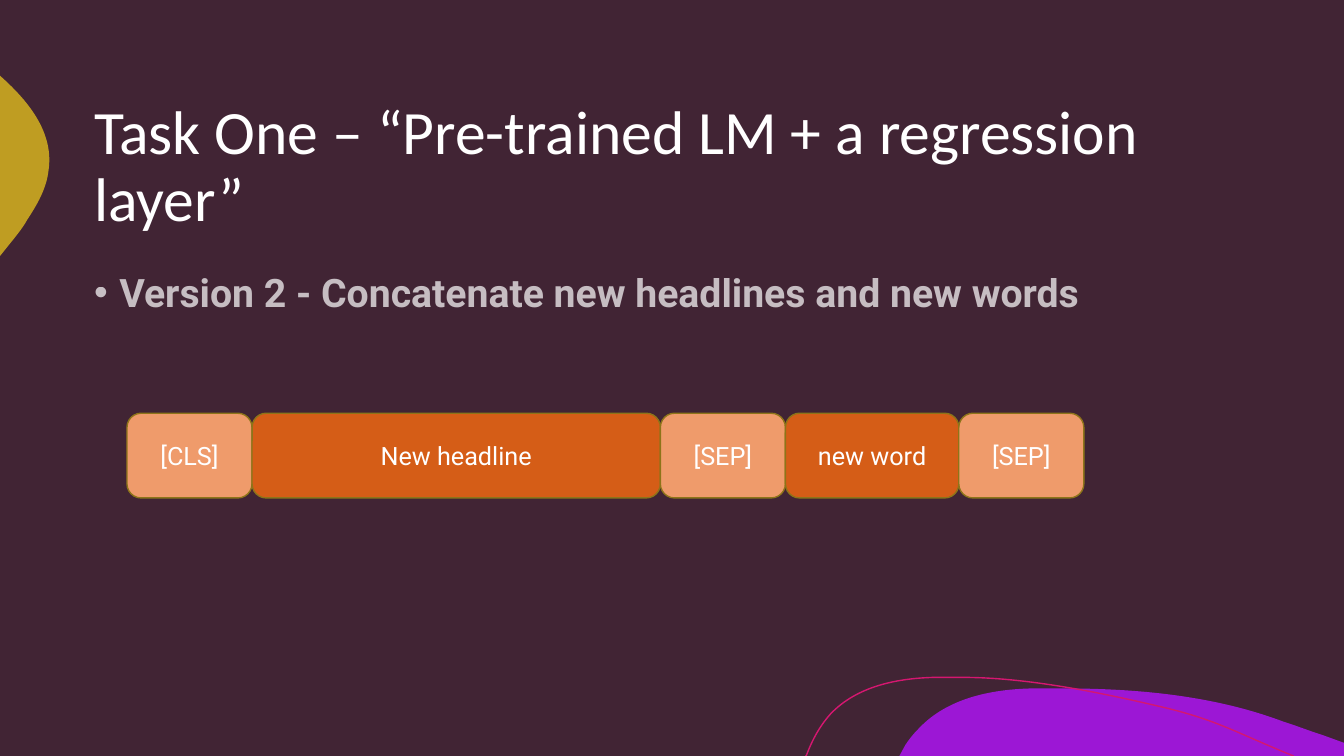
from lxml import etree
from pptx import Presentation
from pptx.dml.color import RGBColor
from pptx.enum.shapes import MSO_SHAPE
from pptx.enum.text import MSO_ANCHOR, PP_ALIGN
from pptx.oxml.ns import qn
from pptx.util import Inches, Pt

ROUND = MSO_SHAPE.ROUNDED_RECTANGLE
MIDDLE = MSO_ANCHOR.MIDDLE
CENTER = PP_ALIGN.CENTER


def rgb(value):
    return RGBColor.from_string(value)


def add_run(p, text, size, font, bold=False):
    r = p.add_run()
    r.text = text
    r.font.size = Pt(size)
    r.font.name = font
    r.font.bold = bold
    r.font.color.rgb = rgb("FFFFFF")
    return r


prs = Presentation()
prs.slide_width, prs.slide_height = Inches(13.33), Inches(7.5)
W, H = prs.slide_width, prs.slide_height
s = prs.slides.add_slide(prs.slide_layouts[6])
s.background.fill.solid()
s.background.fill.fore_color.rgb = rgb("412434")

# Decorative outlines: start, then lines (x, y) or cubic curves (6 numbers), in inches
purple_wave = [(10.54, 6.83), (11.28, 6.83, 12.04, 6.9, 12.73, 7.16),
               (12.86, 7.2, 12.98, 7.25, 13.11, 7.29), (13.33, 7.37),
               (13.33, 7.5), (8.92, 7.5), (8.98, 7.39),
               (9.02, 7.33, 9.06, 7.28, 9.11, 7.23),
               (9.39, 6.93, 9.82, 6.84, 10.23, 6.83),
               (10.33, 6.83, 10.43, 6.83, 10.54, 6.83)]
gold_blob = [(0, 0.75), (0.01, 0.76), (0.3, 1.02, 0.54, 1.33, 0.48, 1.7),
             (0.46, 1.87, 0.37, 2.03, 0.27, 2.18),
             (0.24, 2.24, 0.17, 2.33, 0.08, 2.44), (0, 2.54)]
pink_curve = [(7.99, 7.5), (8, 7.49), (8.06, 7.33, 8.14, 7.19, 8.24, 7.08),
              (8.5, 6.81, 8.89, 6.73, 9.26, 6.72), (9.55, 6.72),
              (10.22, 6.72, 11, 6.89, 11.55, 7.02),
              (12.09, 7.15, 12.26, 7.27, 12.83, 7.5)]

for outline, fill, line in [(purple_wave, "9C17D5", None),
                            (gold_blob, "BF9D22", None),
                            (pink_curve, None, "D51770")]:
    ends = [(Inches(seg[-2]), Inches(seg[-1])) for seg in outline]
    fb = s.shapes.build_freeform(*ends[0])
    fb.add_line_segments(ends[1:], close=fill is not None)
    sp = fb.convert_to_shape()
    # Bend the segments that have control points
    for lnTo, seg in zip(list(sp._element.iter(qn("a:lnTo"))), outline[1:]):
        if len(seg) == 6:
            lnTo.tag = qn("a:cubicBezTo")
            for i, (x, y) in enumerate([seg[:2], seg[2:4]]):
                pt = etree.Element(qn("a:pt"), x=str(Inches(x) - sp.left),
                                   y=str(Inches(y) - sp.top))
                lnTo.insert(i, pt)
    sp.shadow.inherit = False
    if fill:
        sp.fill.solid()
        sp.fill.fore_color.rgb = rgb(fill)
        sp.line.fill.background()
    else:
        sp.fill.background()
        sp.line.color.rgb = rgb(line)
        sp.line.width = Pt(1)

# Title
margin, text_w = Inches(0.835), W * 7 // 8
tf = s.shapes.add_textbox(margin, H // 9, text_w, H * 2 // 9).text_frame
tf.word_wrap = True
tf.vertical_anchor = MIDDLE
p = tf.paragraphs[0]
p.line_spacing = 0.9
add_run(p, "Task One – “Pre-trained LM + a regression layer”", 44, "Calibri")

# Bulleted subtitle, 70 % opaque
tf = s.shapes.add_textbox(margin, H // 3, text_w, Inches(0.78)).text_frame
tf.word_wrap = True
p = tf.paragraphs[0]
p.line_spacing = 1.25
p.space_before = Pt(10)
r = add_run(p, "Version 2 - Concatenate new headlines and new words", 28, "Roboto", True)
color = r.font.fill._xPr.find(qn("a:solidFill"))[0]
etree.SubElement(color, qn("a:alpha")).set("val", "70000")
pPr = p._p.get_or_add_pPr()
pPr.set("marL", str(Inches(0.25)))
pPr.set("indent", str(-Inches(0.25)))
etree.SubElement(pPr, qn("a:buFont")).set("typeface", "Arial")
etree.SubElement(pPr, qn("a:buChar")).set("char", "•")

# Token row: boxes laid edge to edge
MARKER, CONTENT = "EF9B6B", "D55D17"
left = Inches(1.26)
for text, width, fill in [("[CLS]", 1.24, MARKER), ("New headline", 4.05, CONTENT),
                          ("[SEP]", 1.24, MARKER), ("new word", 1.72, CONTENT),
                          ("[SEP]", 1.24, MARKER)]:
    sp = s.shapes.add_shape(ROUND, left, Inches(4.1), Inches(width), Inches(0.84))
    sp.shadow.inherit = False
    sp.fill.solid()
    sp.fill.fore_color.rgb = rgb(fill)
    sp.line.color.rgb = rgb("8D7419")
    sp.line.width = Pt(1)
    sp.text_frame.vertical_anchor = MIDDLE
    p = sp.text_frame.paragraphs[0]
    p.alignment = CENTER
    add_run(p, text, 18, "Roboto")
    left += Inches(width)

prs.save("out.pptx")
